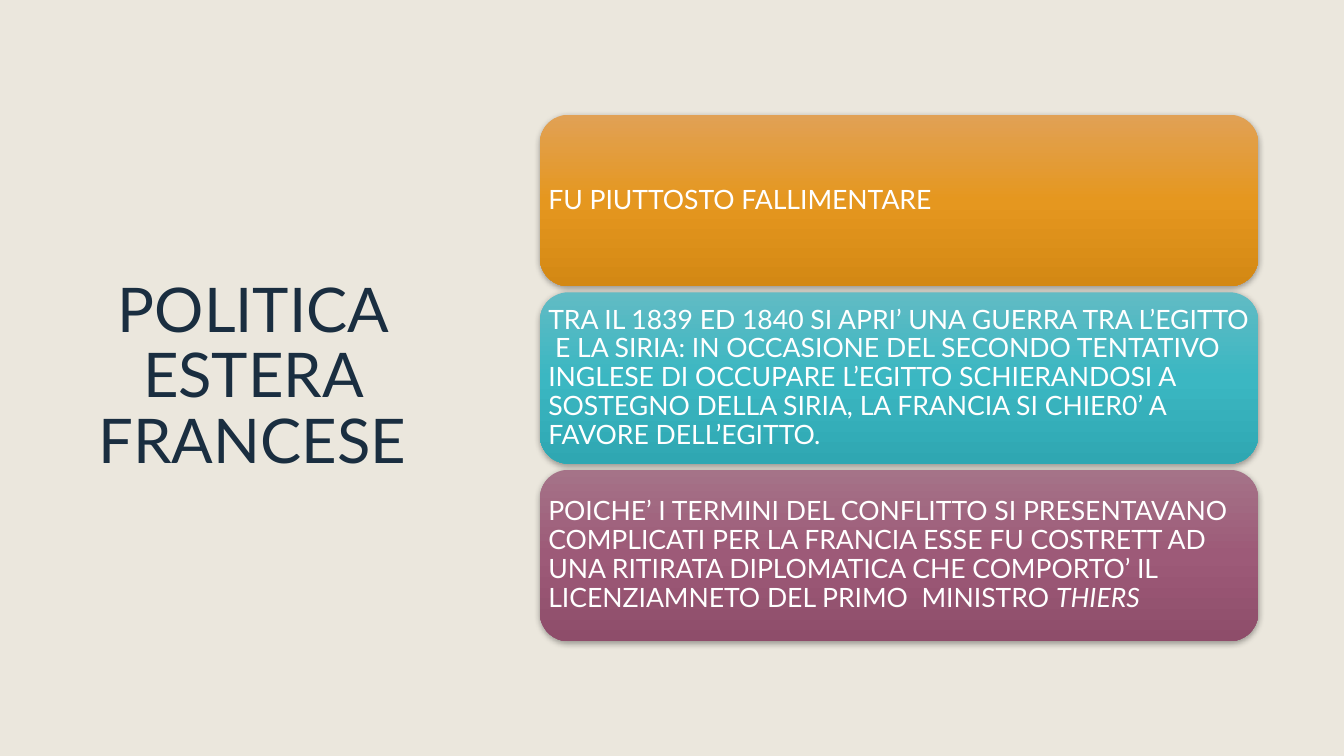
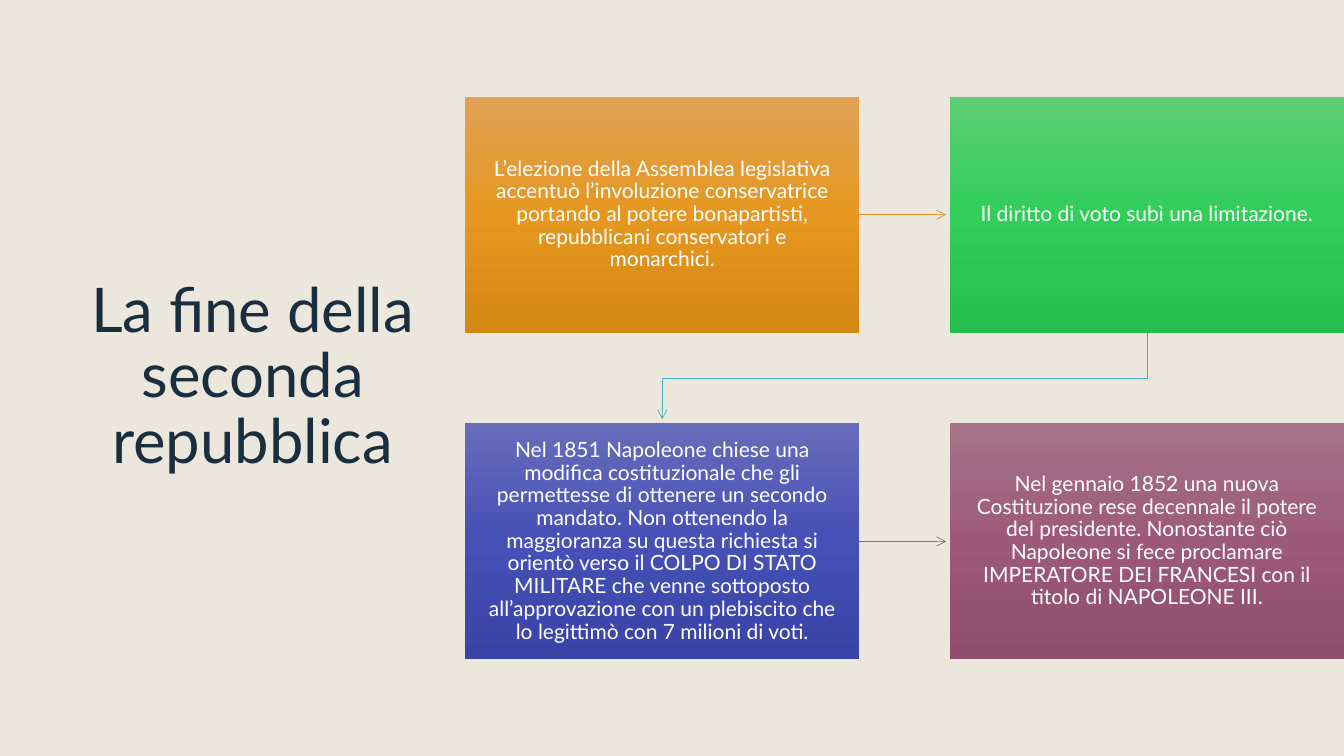
from copy import deepcopy

from lxml.etree import SubElement
from pptx import Presentation
from pptx.dml.color import RGBColor
from pptx.enum.shapes import MSO_CONNECTOR, MSO_SHAPE
from pptx.enum.text import MSO_ANCHOR, MSO_AUTO_SIZE, PP_ALIGN
from pptx.oxml.ns import qn
from pptx.util import Pt

ORANGE = ("E1A155", "E5971F", "D38814")
TEAL = ("61BBC4", "3BB7C2", "2FA7B2")
PLUM = ("A57388", "9D5A78", "8E4D6A")
GREEN = ("5CCE73", "31CE59", "25BE4C")
BLUE = ("676DBA", "4650B6", "3944A6")


def rgb(value):
    return RGBColor.from_string(value)


class Deck:
    """Hold the shared style and the slide being built."""

    FONT = "Lato"
    PAPER = "EBE7DD"
    INK = "1A2E40"
    WHITE = "FFFFFF"

    def __init__(self):
        self.presentation = Presentation()
        self.presentation.slide_width = Pt(960)
        self.presentation.slide_height = Pt(540)
        self.slide = None

    def add_slide(self, heading):
        self.slide = self.presentation.slides.add_slide(self.presentation.slide_layouts[5])
        background = self.slide.background.fill
        background.solid()
        background.fore_color.rgb = rgb(self.PAPER)
        title = self.slide.shapes.title
        title.left, title.top, title.width, title.height = Pt(50.5), Pt(50.5), Pt(260), Pt(439)
        title.text_frame.text = heading
        self.style_text(title.text_frame, 44, self.INK, PP_ALIGN.CENTER, 0.89)

    def style_text(self, frame, size, color, align, spacing):
        frame.word_wrap = True
        frame.auto_size = MSO_AUTO_SIZE.NONE
        frame.vertical_anchor = MSO_ANCHOR.MIDDLE
        for paragraph in frame.paragraphs:
            paragraph.alignment = align
            paragraph.line_spacing = spacing
            for run in paragraph.runs:
                run.font.name = self.FONT
                run.font.size = Pt(size)
                run.font.color.rgb = rgb(color)

    def fill_gradient(self, shape, colors):
        shape.fill.gradient()
        shape.fill.gradient_angle = 270
        first_stop = shape.element.spPr.find(".//" + qn("a:gs"))
        first_stop.addnext(deepcopy(first_stop))
        for stop, color, position in zip(shape.fill.gradient_stops, colors, (0, 0.5, 1)):
            stop.color.rgb = rgb(color)
            stop.position = position

    def add_shadow(self, shape):
        effects = shape.element.spPr.find(qn("a:effectLst"))
        shadow = SubElement(effects, qn("a:outerShdw"), blurRad=str(Pt(4.5)),
                            dist=str(Pt(1.5)), dir="5400000", rotWithShape="0")
        black = SubElement(shadow, qn("a:srgbClr"), val="000000")
        SubElement(black, qn("a:alpha"), val="35000")

    def add_card(self, preset, bounds, colors, text, size, align, margins):
        card = self.slide.shapes.add_shape(preset, *map(Pt, bounds))
        card.shadow.inherit = False
        card.line.fill.background()
        self.fill_gradient(card, colors)
        frame = card.text_frame
        frame.margin_left = frame.margin_right = Pt(margins[0])
        frame.margin_top = frame.margin_bottom = Pt(margins[1])
        frame.text = text
        self.style_text(frame, size, self.WHITE, align, 0.9)
        return card

    def add_bar(self, bounds, colors, text, emphasis=""):
        bar = self.add_card(MSO_SHAPE.ROUNDED_RECTANGLE, bounds, colors, text, 19,
                            PP_ALIGN.LEFT, (0, 0))
        self.add_shadow(bar)
        if emphasis:
            name = bar.text_frame.paragraphs[0].add_run()
            name.text = emphasis
            name.font.italic = True
            self.style_text(bar.text_frame, 19, self.WHITE, PP_ALIGN.LEFT, 0.9)

    def add_step(self, bounds, colors, text):
        return self.add_card(MSO_SHAPE.RECTANGLE, bounds, colors, text, 15,
                             PP_ALIGN.CENTER, (13.5, 14.5))

    def style_arrow(self, line, color):
        line.color.rgb = rgb(color)
        line.width = Pt(0.5)
        SubElement(line._get_or_add_ln(), qn("a:tailEnd"), type="arrow")

    def add_arrow(self, step, length, color):
        start = step.left + step.width
        middle = step.top + step.height // 2
        arrow = self.slide.shapes.add_connector(
            MSO_CONNECTOR.STRAIGHT, start, middle, start + Pt(length), middle)
        arrow.begin_connect(step, 3)
        self.style_arrow(arrow.line, color)
        SubElement(arrow.element.spPr, qn("a:effectLst"))

    def add_bent_arrow(self, upper, lower, gap, color):
        start_x, start_y = upper.left + upper.width // 2, upper.top + upper.height
        end_x, end_y = lower.left + lower.width // 2, lower.top - Pt(gap)
        turn_y = (start_y + lower.top) // 2
        outline = self.slide.shapes.build_freeform(start_x, start_y)
        outline.add_line_segments([(start_x, turn_y), (end_x, turn_y), (end_x, end_y)], close=False)
        arrow = outline.convert_to_shape()
        arrow.shadow.inherit = False
        arrow.fill.background()
        self.style_arrow(arrow.line, color)


def build_foreign_policy(deck):
    deck.add_slide("POLITICA ESTERA FRANCESE")
    events = [
        (ORANGE, "FU PIUTTOSTO FALLIMENTARE", ""),
        (TEAL, "TRA IL 1839 ED 1840 SI APRI’ UNA GUERRA TRA L’EGITTO  E LA SIRIA: IN OCCASIONE "
               "DEL SECONDO TENTATIVO INGLESE DI OCCUPARE L’EGITTO SCHIERANDOSI A SOSTEGNO DELLA "
               "SIRIA, LA FRANCIA SI CHIER0’ A FAVORE DELL’EGITTO.", ""),
        (PLUM, "POICHE’ I TERMINI DEL CONFLITTO SI PRESENTAVANO COMPLICATI PER LA FRANCIA ESSE FU "
               "COSTRETT AD UNA RITIRATA DIPLOMATICA CHE COMPORTO’ IL LICENZIAMNETO DEL PRIMO  "
               "MINISTRO ", "THIERS"),
    ]
    height, gap = 122.4, 4.4
    for row, (colors, text, emphasis) in enumerate(events):
        deck.add_bar((385.7, 82 + row * (height + gap), 513, height), colors, text, emphasis)


def build_republic_end(deck):
    deck.add_slide("La fine della seconda repubblica")
    events = [
        (ORANGE, "L’elezione della Assemblea legislativa accentuò l’involuzione conservatrice "
                 "portando al potere bonapartisti, repubblicani conservatori e monarchici."),
        (GREEN, "Il diritto di voto subì una limitazione."),
        (BLUE, "Nel 1851 Napoleone chiese una modifica costituzionale che gli permettesse di "
               "ottenere un secondo mandato. Non ottenendo la maggioranza su questa richiesta si "
               "orientò verso il COLPO DI STATO MILITARE che venne sottoposto all’approvazione con "
               "un plebiscito che lo legittimò con 7 milioni di voti."),
        (PLUM, "Nel gennaio 1852 una nuova Costituzione rese decennale il potere del presidente. "
               "Nonostante ciò Napoleone si fece proclamare IMPERATORE DEI FRANCESI con il titolo "
               "di NAPOLEONE III."),
    ]
    width, height, gap = 281.5, 168.7, 64.7
    steps = []
    for index, (colors, text) in enumerate(events):
        row, column = divmod(index, 2)
        bounds = (332.3 + column * (width + gap), 69 + row * (height + gap), width, height)
        steps.append(deck.add_step(bounds, colors, text))
    election, suffrage, coup, _ = steps
    deck.add_arrow(election, 62, "DC9528")
    deck.add_bent_arrow(suffrage, coup, 3, "41B2BC")
    deck.add_arrow(coup, 62, "9A5D78")


def main():
    deck = Deck()
    build_foreign_policy(deck)
    build_republic_end(deck)
    deck.presentation.save("out.pptx")


if __name__ == "__main__":
    main()
